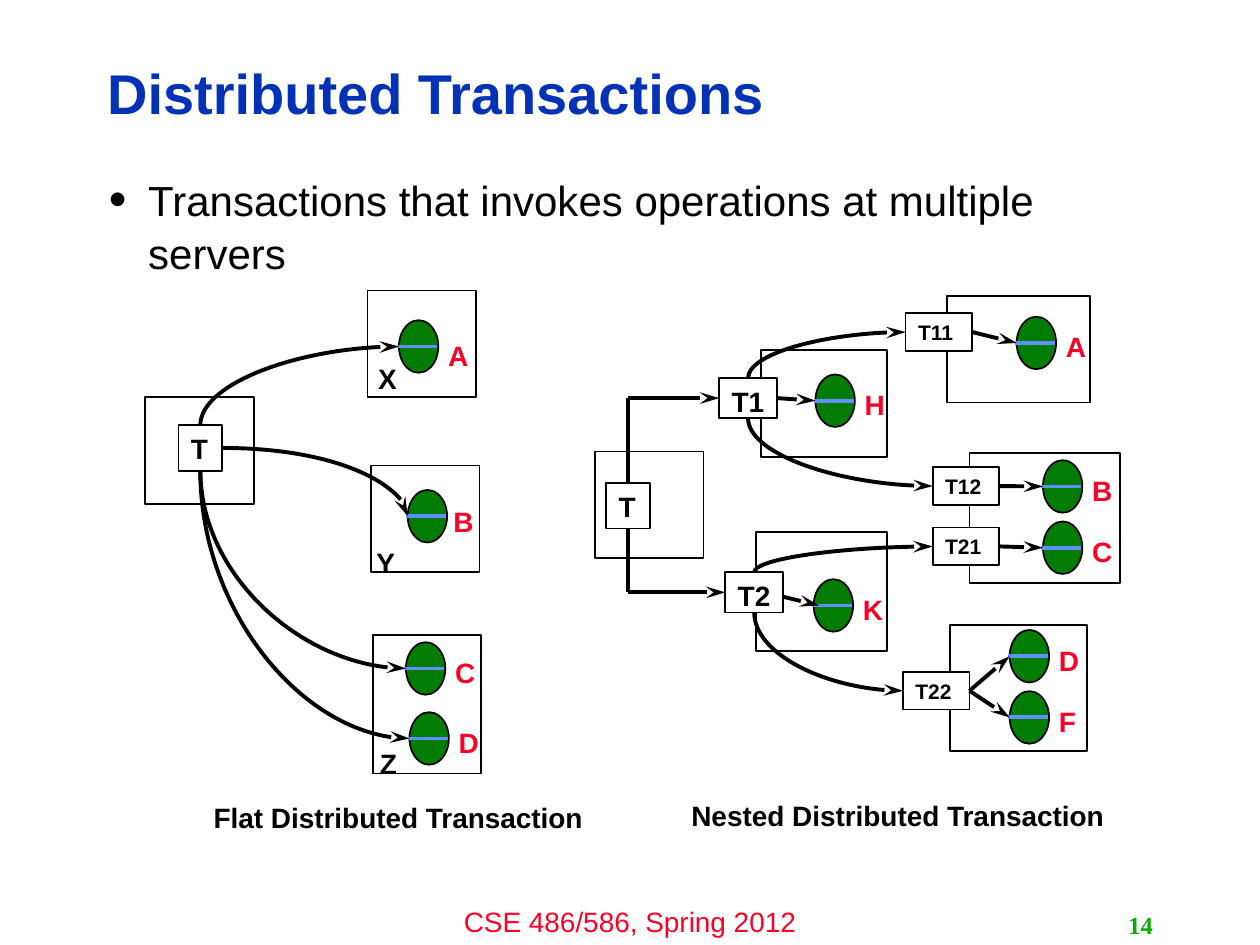
from dataclasses import dataclass

from lxml.etree import SubElement
from pptx import Presentation
from pptx.dml.color import RGBColor
from pptx.enum.shapes import MSO_CONNECTOR, MSO_SHAPE
from pptx.enum.text import MSO_ANCHOR, MSO_AUTO_SIZE, PP_ALIGN
from pptx.oxml.ns import qn
from pptx.util import Pt

TOP, LEFT, BOTTOM, RIGHT = range(4)


@dataclass(frozen=True)
class Theme:
    font: str = "Arial"
    number_font: str = "Times New Roman"
    ink: str = "000000"
    paper: str = "FFFFFF"
    title: str = "0332B7"
    accent: str = "FC0128"
    number: str = "00AE00"
    disk: str = "037C03"
    stripe: str = "618FFD"
    title_size: int = 32
    body_size: int = 24
    label_size: int = 16
    number_size: int = 14
    small_size: int = 12
    outline: float = 1
    stroke: float = 2.25


@dataclass(frozen=True)
class Port:
    """The middle of one side of a box, where a line can be joined."""
    box: object
    side: int

    @property
    def point(self):
        left, top = self.box.left.pt, self.box.top.pt
        width, height = self.box.width.pt, self.box.height.pt
        return {
            TOP: (left + width / 2, top),
            LEFT: (left, top + height / 2),
            BOTTOM: (left + width / 2, top + height),
            RIGHT: (left + width, top + height / 2),
        }[self.side]


def color(value):
    return RGBColor.from_string(value)


def points(*lengths):
    return [Pt(length) for length in lengths]


class Painter:
    def __init__(self, page, theme):
        self.page, self.theme = page, theme

    def set_text(self, box, text, size, tint, bold=True, align=PP_ALIGN.LEFT,
                 font=None, anchor=MSO_ANCHOR.TOP):
        frame = box.text_frame
        frame.word_wrap = True
        frame.auto_size = MSO_AUTO_SIZE.NONE
        frame.vertical_anchor = anchor
        frame.text = text
        para = frame.paragraphs[0]
        para.alignment = align
        para.space_before = Pt(0)
        para.font.name = font or self.theme.font
        para.font.size = Pt(size)
        para.font.bold = bold
        para.font.color.rgb = color(tint)
        return para

    def place(self, holder, left, top, width, height):
        holder.left, holder.top, holder.width, holder.height = points(left, top, width, height)

    def title(self, text, *bounds):
        holder = self.page.shapes.title
        self.place(holder, *bounds)
        para = self.set_text(holder, text, self.theme.title_size, self.theme.title,
                             anchor=MSO_ANCHOR.MIDDLE)
        para.line_spacing = 0.9

    def bullet(self, text, *bounds):
        holder = self.page.placeholders[1]
        self.place(holder, *bounds)
        holder.text_frame.text = text
        para = holder.text_frame.paragraphs[0]
        settings = para._p.get_or_add_pPr()
        settings.set("marL", str(Pt(22.5)))
        settings.set("indent", str(-Pt(22.5)))
        tint = SubElement(settings, qn("a:buClr"))
        SubElement(tint, qn("a:srgbClr"), val=self.theme.ink)
        SubElement(settings, qn("a:buSzPct"), val="120000")
        SubElement(settings, qn("a:buChar"), char="•")
        para.line_spacing = 1.05
        para.space_before = Pt(0)
        para.font.name = self.theme.font
        para.font.size = Pt(self.theme.body_size)
        para.font.color.rgb = color(self.theme.ink)
        holder.text_frame.auto_size = MSO_AUTO_SIZE.NONE

    def text(self, text, left, top, width=24, height=22, size=None, tint=None, **style):
        box = self.page.shapes.add_textbox(*points(left, top, width, height))
        self.set_text(box, text, size or self.theme.label_size, tint or self.theme.ink, **style)
        box.text_frame.margin_right = Pt(7.2 if "align" in style else 0)

    def shape(self, kind, left, top, width, height, fill=None):
        shape = self.page.shapes.add_shape(kind, *points(left, top, width, height))
        shape.shadow.inherit = False
        if fill:
            shape.fill.solid()
            shape.fill.fore_color.rgb = color(fill)
        else:
            shape.fill.background()
        shape.line.color.rgb = color(self.theme.ink)
        shape.line.width = Pt(self.theme.outline)
        return shape

    def server(self, left, top, width=62, height=61):
        self.shape(MSO_SHAPE.RECTANGLE, left, top, width, height)

    def transaction(self, name, left, top, width, height, size=None):
        box = self.shape(MSO_SHAPE.RECTANGLE, left, top, width, height, self.theme.paper)
        self.set_text(box, name, size or self.theme.label_size, self.theme.ink)
        box.text_frame.margin_right = 0
        return box

    def disk(self, name, left, top, shift=(21, 4)):
        """Draw a striped disk with its letter; return the point where arrows arrive."""
        self.shape(MSO_SHAPE.OVAL, left, top, 22.5, 30, self.theme.disk)
        middle = top + 15
        self.line((left - 1, middle), (left + 22, middle), self.theme.stripe, arrow=False)
        self.text(name, left + shift[0], top + shift[1], tint=self.theme.accent)
        return left, middle

    def stroke(self, connector, tint, arrow):
        connector.line.color.rgb = color(tint)
        connector.line.width = Pt(self.theme.stroke)
        properties = connector._element.spPr
        if arrow:
            SubElement(properties.find(qn("a:ln")), qn("a:tailEnd"),
                       type="stealth", w="med", len="lg")
        SubElement(properties, qn("a:effectLst"))

    def line(self, start, end, tint=None, arrow=True):
        """Draw a straight line; an end is a point or a Port to be joined."""
        ends = [e.point if isinstance(e, Port) else e for e in (start, end)]
        connector = self.page.shapes.add_connector(
            MSO_CONNECTOR.STRAIGHT, *points(*ends[0], *ends[1]))
        if isinstance(start, Port):
            connector.begin_connect(start.box, start.side)
        if isinstance(end, Port):
            connector.end_connect(end.box, end.side)
        self.stroke(connector, tint or self.theme.ink, arrow)

    def curve(self, port, end):
        """Draw a quarter curve that leaves the port at a right angle to its side."""
        (x1, y1), (x2, y2) = port.point, end
        upright = port.side in (TOP, BOTTOM)
        if upright:  # lay out the unturned frame around the same centre
            half_width, half_height = (y2 - y1) / 2, abs(x2 - x1) / 2
            middle_x, middle_y = (x1 + x2) / 2, (y1 + y2) / 2
            x1, x2 = middle_x + half_width, middle_x - half_width
            y1, y2 = middle_y - half_height, middle_y + half_height
        connector = self.page.shapes.add_connector(
            MSO_CONNECTOR.CURVE, *points(x1, y1, x2, y2))
        properties = connector._element.spPr
        properties.find(qn("a:prstGeom")).set("prst", "curvedConnector2")
        if upright:
            properties.find(qn("a:xfrm")).set("rot", str(270 * 60000))
        self.stroke(connector, self.theme.ink, arrow=True)


def draw_flat(painter):
    for bounds in ((83, 227), (210, 166), (212, 266), (213, 363, 62, 79)):
        painter.server(*bounds)
    root = painter.transaction("T", 102, 243, 25, 26)
    for side, disk in ((TOP, ("A", 228, 183, (21, 7))),
                       (RIGHT, ("B", 233, 280, (19, 5))),
                       (BOTTOM, ("C", 232, 367)),
                       (BOTTOM, ("D", 234, 407))):
        painter.curve(Port(root, side), painter.disk(*disk))
    for name, left, top in (("X", 209, 203), ("Y", 208, 308), ("Z", 210, 423)):
        painter.text(name, left, top)
    painter.text("Flat Distributed Transaction", 115, 454, 258, 24)


def draw_nested(painter):
    for bounds in ((340, 258), (435, 200, 72, 61), (432, 304, 75, 68),
                   (541, 169, 82, 61), (554, 259, 86, 74), (543, 357, 78, 72)):
        painter.server(*bounds)
    root = painter.transaction("T", 346.5, 276, 25, 26)
    first = painter.transaction("T1", 411, 216, 33, 23)
    second = painter.transaction("T2", 414.5, 327, 33, 23)
    for side, child in ((TOP, first), (BOTTOM, second)):
        entry = Port(child, LEFT)
        corner = Port(root, side).point[0], entry.point[1]
        painter.line(Port(root, side), corner, arrow=False)
        painter.line(corner, entry)

    painter.line(Port(first, RIGHT), painter.disk("H", 466, 214))
    painter.disk("K", 465, 331)
    painter.line((447.5, 341), (468, 346))

    for parent, side, name, left, top, disks in (
            (first, TOP, "T11", 517.5, 179, [("A", 581, 181)]),
            (first, BOTTOM, "T12", 533, 267, [("B", 596, 263)]),
            (second, TOP, "T21", 533, 301.5, [("C", 596, 298)]),
            (second, BOTTOM, "T22", 516, 384, [("D", 577, 360), ("F", 577, 395)])):
        child = painter.transaction(name, left, top, 38, 21.5, painter.theme.small_size)
        painter.curve(Port(parent, side), Port(child, LEFT).point)
        for disk in disks:
            painter.line(Port(child, RIGHT), painter.disk(*disk))
    painter.text("Nested Distributed Transaction", 388, 453, 258, 24)


def main():
    deck = Presentation()
    deck.slide_width, deck.slide_height = points(720, 540)
    theme = Theme()
    painter = Painter(deck.slides.add_slide(deck.slide_layouts[1]), theme)
    painter.text("CSE 486/586, Spring 2012", 240, 513.5, 240, 26.5, tint=theme.accent,
                 bold=False, align=PP_ALIGN.CENTER)
    painter.title("Distributed Transactions", 54, 26, 574.5, 58)
    painter.bullet("Transactions that invokes operations at multiple servers",
                   55, 94.5, 605, 388)
    painter.text("14", 516, 517, 150, 23, theme.number_size, theme.number,
                 font=theme.number_font, align=PP_ALIGN.RIGHT, anchor=MSO_ANCHOR.MIDDLE)
    draw_flat(painter)
    draw_nested(painter)
    deck.save("out.pptx")


if __name__ == "__main__":
    main()
